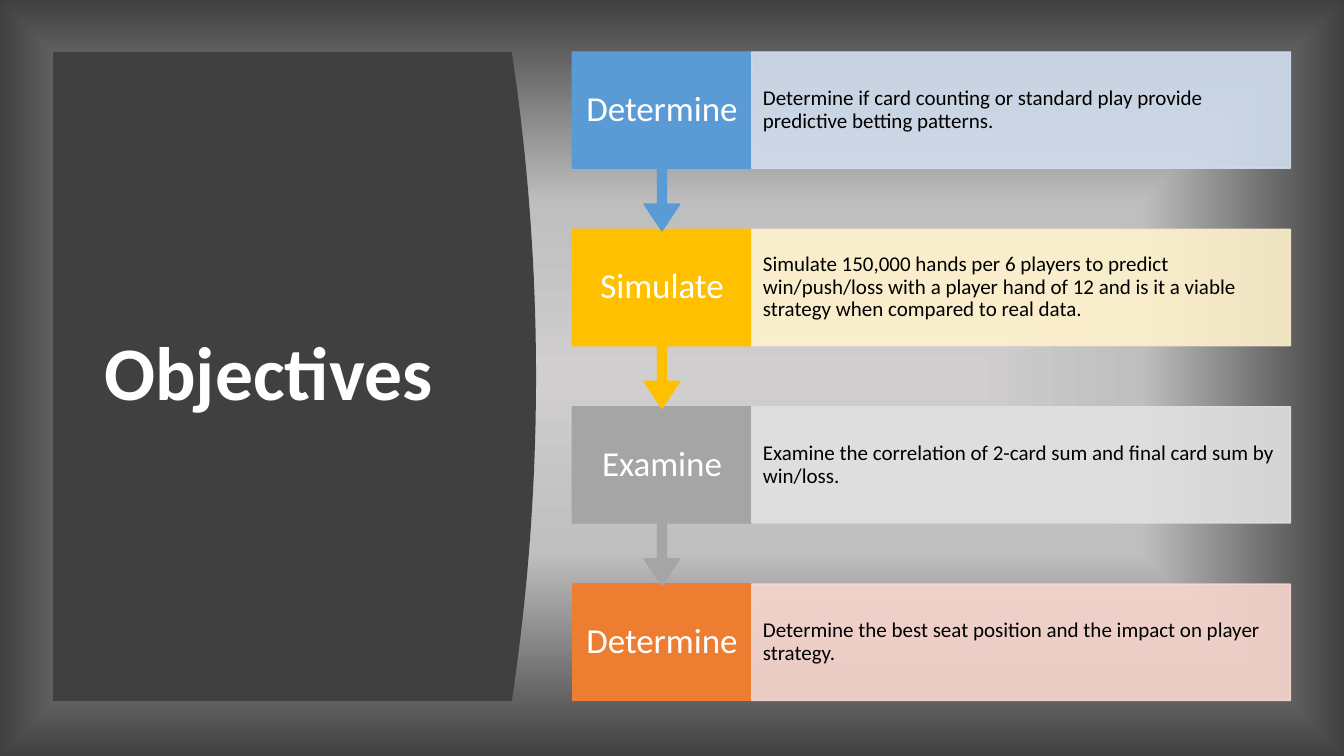
from dataclasses import dataclass
from lxml.etree import SubElement
from pptx import Presentation
from pptx.dml.color import RGBColor
from pptx.enum.shapes import MSO_SHAPE as Preset
from pptx.enum.text import MSO_ANCHOR as Anchor, MSO_AUTO_SIZE as AutoSize, PP_ALIGN as Align
from pptx.oxml.ns import qn
from pptx.util import Cm, Pt


@dataclass(frozen=True)
class Theme:
    font: str = "Calibri"
    title_size: int = 54
    verb_size: int = 25
    detail_size: int = 15
    dark: str = "404040"
    light: str = "FFFFFF"
    ink: str = "000000"
    backdrop: tuple = ((0, "D0CECE"), (46, "BFBFBF"), (100, "404040"))


THEME = Theme()

# verb, detail, strong colour, tint, tint border
OBJECTIVES = [
    ("Determine", "Determine if card counting or standard play provide predictive betting patterns.",
     "5B9BD5", "D2DEEF", "D2DEEF"),
    ("Simulate", "Simulate 150,000 hands per 6 players to predict win/push/loss with a player hand "
     "of 12 and is it a viable strategy when compared to real data.",
     "FFC000", "FFF2CC", "FFE8CC"),
    ("Examine", "Examine the correlation of 2-card sum and final card sum by win/loss.",
     "A5A5A5", "E1E1E1", "E1E1E1"),
    ("Determine", "Determine the best seat position and the impact on player strategy.",
     "ED7D31", "F8D7CE", "F8D7CE"),
]


def write_text(shape, text, *, size, color, align=Align.LEFT, bold=False, inset=(0.25, 0.13)):
    """Fill the shape with one paragraph; inset is (sides, top and bottom) in cm."""
    frame = shape.text_frame
    frame.word_wrap = True
    frame.auto_size = AutoSize.NONE
    frame.vertical_anchor = Anchor.MIDDLE
    frame.margin_left = frame.margin_right = Cm(inset[0])
    frame.margin_top = frame.margin_bottom = Cm(inset[1])
    paragraph = frame.paragraphs[0]
    paragraph.alignment = align
    paragraph.line_spacing = 0.9
    run = paragraph.add_run()
    run.text = text
    run.font.name = THEME.font
    run.font.size = Pt(size)
    run.font.bold = bold
    run.font.color.rgb = RGBColor.from_string(color)


def add_block(slide, preset, box, fill, border, opacity=100):
    shape = slide.shapes.add_shape(preset, *(Cm(length) for length in box))
    shape.shadow.inherit = False
    shape.fill.solid()
    shape.fill.fore_color.rgb = RGBColor.from_string(fill)
    shape.line.color.rgb = RGBColor.from_string(border)
    shape.line.width = Pt(1)
    if opacity < 100:
        for color in shape.element.spPr.iter(qn("a:srgbClr")):
            SubElement(color, qn("a:alpha"), val=str(opacity * 1000))
    return shape


def paint_background(slide):
    """Gradient that darkens from the centre towards the slide edges."""
    slide.background.fill.gradient()
    gradient = next(slide.element.iter(qn("a:gradFill")))
    for child in list(gradient):
        gradient.remove(child)
    stops = SubElement(gradient, qn("a:gsLst"))
    for position, color in THEME.backdrop:
        stop = SubElement(stops, qn("a:gs"), pos=str(position * 1000))
        SubElement(stop, qn("a:srgbClr"), val=color)
    shade = SubElement(gradient, qn("a:path"), path="shape")
    SubElement(shade, qn("a:fillToRect"), l="50000", t="50000", r="50000", b="50000")


def add_title_panel(slide, left, top, width, height, bulge=0.61, steps=40):
    """Dark panel with a right side that bows outwards, holding the title."""
    edge = left + width - bulge
    curve = []
    for step in range(steps + 1):
        offset = 2 * step / steps - 1
        curve.append((Cm(edge + bulge * (1 - offset ** 2)), Cm(top + height * step / steps)))
    builder = slide.shapes.build_freeform(Cm(left), Cm(top))
    builder.add_line_segments(curve + [(Cm(left), Cm(top + height))], close=True)
    panel = builder.convert_to_shape()
    panel.shadow.inherit = False
    panel.fill.solid()
    panel.fill.fore_color.rgb = RGBColor.from_string(THEME.dark)
    panel.line.fill.background()

    title = slide.shapes.title
    title.element.addprevious(panel.element)
    title.left, title.top = Cm(left + 1.04), Cm(top + 1.5)
    title.width, title.height = Cm(width - 2.67), Cm(height - 3.05)
    write_text(title, "Objectives", size=THEME.title_size, color=THEME.light, bold=True)


def add_objectives(slide, left, top, width, height):
    """Rows of verb and detail, each verb pointing down to the next."""
    row_height = 2.93
    pitch = (height - row_height) / (len(OBJECTIVES) - 1)
    verb_width = width / 4
    callout_height = row_height / 0.65
    last = len(OBJECTIVES) - 1
    # Built upwards so that each arrow tip lies over the row below it.
    for index in range(last, -1, -1):
        verb, detail, strong, tint, border = OBJECTIVES[index]
        row_top = top + index * pitch
        if index == last:
            block = add_block(slide, Preset.RECTANGLE,
                              (left, row_top, verb_width, row_height), strong, strong)
        else:
            block = add_block(slide, Preset.DOWN_ARROW_CALLOUT,
                              (left, row_top, verb_width, callout_height), strong, strong)
            for number, value in enumerate((0.05, 0.1, 0.15, 0.65)):
                block.adjustments[number] = value
        write_text(block, verb, size=THEME.verb_size, color=THEME.light,
                   align=Align.CENTER, inset=(0.32, 0.48))
        block = add_block(slide, Preset.RECTANGLE,
                          (left + verb_width, row_top, width - verb_width, row_height),
                          tint, border, opacity=90)
        write_text(block, detail, size=THEME.detail_size, color=THEME.ink, inset=(0.28, 0.53))


def main():
    presentation = Presentation()
    presentation.slide_width, presentation.slide_height = Cm(33.87), Cm(19.05)
    slide = presentation.slides.add_slide(presentation.slide_layouts[5])
    paint_background(slide)
    add_title_panel(slide, 1.34, 1.31, 12.17, 16.36)
    add_objectives(slide, 14.42, 1.31, 18.1, 16.34)
    presentation.save("out.pptx")


if __name__ == "__main__":
    main()
